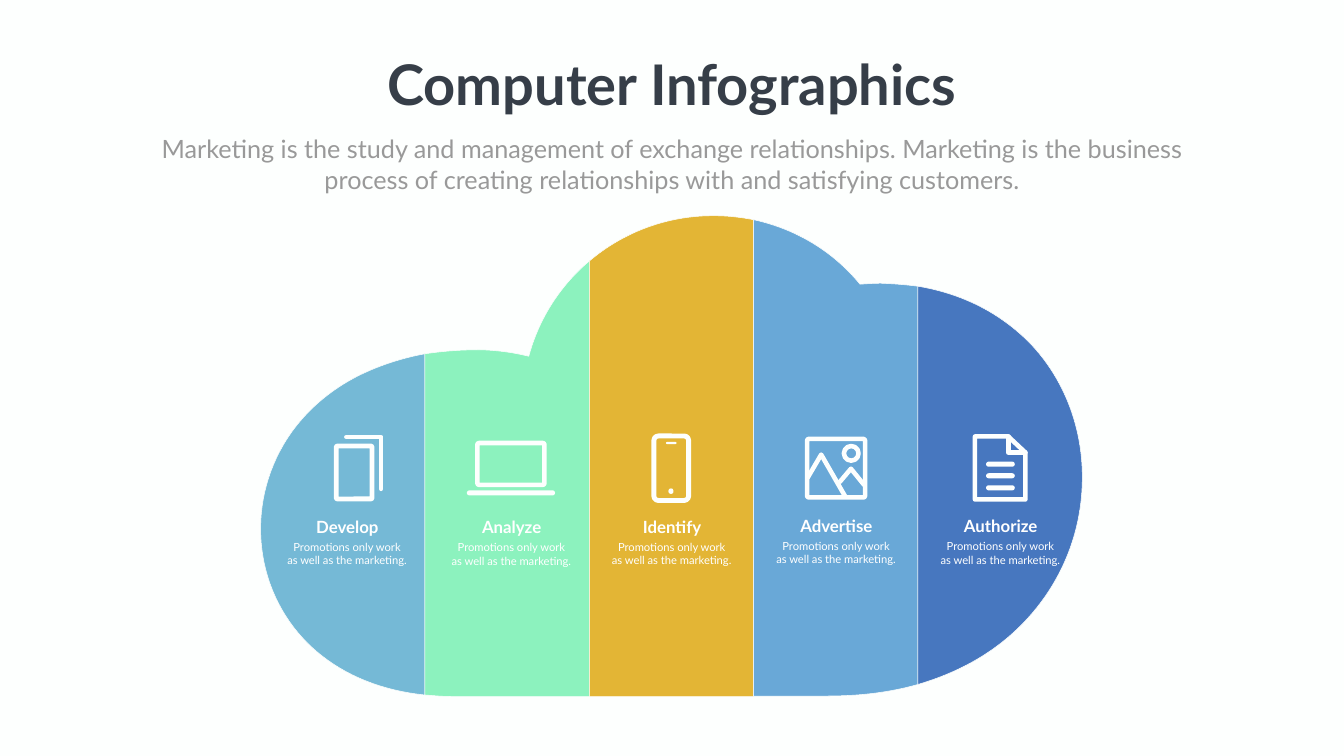
import pptx
import pptx.util
import pptx.dml.color
import pptx.enum.shapes
import pptx.enum.text
import pptx.oxml
import pptx.oxml.ns
import dataclasses

RGB = pptx.dml.color.RGBColor
KIND = pptx.enum.shapes.MSO_SHAPE
SCALE = 9144  # EMU in one px, 100 px to the inch
STEPS = 24    # straight pieces in one curve

PAPER = RGB(0xFD, 0xFF, 0xFE)
WHITE = RGB(0xFF, 0xFF, 0xFF)
DARK = RGB(0x36, 0x3E, 0x48)
GREY = RGB(0x99, 0x99, 0x99)
SKY = RGB(0x75, 0xB9, 0xD6)
MINT = RGB(0x8C, 0xF2, 0xBE)
GOLD = RGB(0xE3, 0xB5, 0x35)
BLUE = RGB(0x69, 0xA8, 0xD7)
NAVY = RGB(0x47, 0x77, 0xBF)


@dataclasses.dataclass
class Band:
    """One slice of the cloud: a pair is a corner, six numbers are a curve."""
    color: RGB
    edge: list
    name: str
    left: int
    top: int


@dataclasses.dataclass
class Box:
    """A rounded icon part, drawn as a ring when it has a pen width."""
    left: int
    top: int
    width: int
    height: int
    round: float = 0.5
    pen: float = 0


@dataclasses.dataclass
class Trace:
    """A stroked icon part."""
    points: list
    close: bool = False
    pen: float = 6.5


BANDS = [
    Band(SKY, [(710, 746), (647, 778, 595, 826, 562, 883),
               (503, 984, 502, 1109, 559, 1209), (614, 1306, 716, 1366, 843, 1379),
               (843, 702), (795, 711, 750, 726, 710, 746)], "Develop", 598, 1020),
    Band(MINT, [(1049, 707), (1017, 699, 985, 695, 952, 694),
                (913, 694, 877, 697, 843, 702), (843, 1379),
                (859, 1380, 876, 1382, 894, 1382), (1169, 1382), (1169, 518),
                (1112, 566, 1069, 632, 1049, 707)], "Analyze", 924, 1021),
    Band(GOLD, [(1415, 428), (1321, 428, 1235, 462, 1169, 518), (1169, 1382),
                (1495, 1382), (1495, 436), (1469, 431, 1442, 428, 1415, 428)],
         "Identify", 1242, 1020),
    Band(BLUE, [(1706, 564), (1652, 498, 1578, 454, 1495, 436), (1495, 1381),
                (1640, 1381), (1705, 1381, 1765, 1374, 1821, 1358), (1821, 568),
                (1798, 565, 1773, 563, 1748, 562), (1734, 562, 1721, 563, 1706, 564)],
         "Advertise", 1568, 1018),
    Band(NAVY, [(2019, 1247), (2100, 1169, 2146, 1064, 2147, 951),
                (2148, 850, 2112, 755, 2047, 685), (1988, 623, 1911, 583, 1821, 568),
                (1821, 1358), (1899, 1335, 1965, 1299, 2019, 1247)],
         "Authorize", 1894, 1019),
]

ICONS = [
    # Pages
    Box(667, 885, 71, 105, 0.04, 7), Trace([(687, 867), (756, 867), (756, 970)]),
    # Laptop
    Box(947, 879, 133, 83, 0.04, 6.5), Box(926, 973, 175, 10),
    # Phone
    Box(1297, 865, 69, 128, 0.13, 7), Box(1326, 969, 10, 11), Box(1321, 877, 21, 4),
    # Photo
    Box(1601, 871, 115, 116, 0.03, 6.5), Box(1674, 885, 29, 29, 0.5, 6.5),
    Trace([(1602, 948), (1629, 902), (1676, 984)]),
    Trace([(1666, 956), (1688, 930), (1714, 962)]),
    # Document
    Trace([(1934, 866), (2000, 866), (2034, 898), (2034, 991), (1934, 991)], True),
    Trace([(2000, 866), (2000, 898), (2034, 898)]),
    *[Box(1956, top, 57, 10) for top in (916, 939, 963)],
]


def place(shape, left: int, top: int, width: int, height: int) -> None:
    shape.left, shape.top = left * SCALE, top * SCALE
    shape.width, shape.height = width * SCALE, height * SCALE


def write(shape, text: str, *, size: int, color: RGB, bold: bool = False,
          wrap: bool = True) -> None:
    frame = shape.text_frame
    frame.text = text
    frame.word_wrap = wrap
    frame.auto_size = pptx.enum.text.MSO_AUTO_SIZE.NONE
    frame.vertical_anchor = pptx.enum.text.MSO_ANCHOR.TOP
    for para in frame.paragraphs:
        props = para._p.get_or_add_pPr()
        props.set("marL", "0")
        props.set("indent", "0")
        pptx.oxml.ns.qn("a:buNone")
        props.append(pptx.oxml.parse_xml(
            f'<a:buNone {pptx.oxml.ns.nsdecls("a")}/>'))
        para.alignment = pptx.enum.text.PP_ALIGN.CENTER
        para.space_before = pptx.util.Pt(0)
        for run in para.runs:
            run.font.name = "Lato"
            run.font.size = pptx.util.Pt(size)
            run.font.bold = bold
            run.font.color.rgb = color


def paint(shape, fill: RGB | None, pen: float) -> None:
    shape.shadow.inherit = False
    if fill is None:
        shape.fill.background()
    else:
        shape.fill.solid()
        shape.fill.fore_color.rgb = fill
    if pen:
        shape.line.width = pptx.util.Pt(pen)
        shape.line.color.rgb = PAPER
    else:
        shape.line.fill.background()


def trace(shapes, points: list, close: bool):
    spots = [(x * SCALE, y * SCALE) for x, y in points]
    pen = shapes.build_freeform(*spots[0], scale=1.0)
    pen.add_line_segments(spots[1:], close=close)
    return pen.convert_to_shape()


def bend(edge: list) -> list:
    """Turn corners and cubic curves into a run of points."""
    points = []
    for part in edge:
        if len(part) == 2:
            points.append(part)
            continue
        knots = [points[-1], part[:2], part[2:4], part[4:]]
        for step in range(1, STEPS + 1):
            t = step / STEPS
            rates = ((1 - t) ** 3, 3 * t * (1 - t) ** 2, 3 * t * t * (1 - t), t ** 3)
            points.append(tuple(sum(r * k[axis] for r, k in zip(rates, knots))
                                for axis in (0, 1)))
    return points


def draw(shapes, part: Box | Trace) -> None:
    if isinstance(part, Trace):
        shape = trace(shapes, part.points, part.close)
        paint(shape, None, part.pen)
        shape.line._get_or_add_ln().set("cap", "rnd")
        return
    shape = shapes.add_shape(KIND.ROUNDED_RECTANGLE, 0, 0, 0, 0)
    place(shape, part.left, part.top, part.width, part.height)
    shape.adjustments[0] = part.round
    paint(shape, None if part.pen else PAPER, part.pen)


def label(shapes, left: int, top: int, width: int, height: int, text: str,
          **style) -> None:
    box = shapes.add_textbox(0, 0, 0, 0)
    place(box, left, top, width, height)
    write(box, text, color=WHITE, **style)


def main() -> None:
    deck = pptx.Presentation()
    deck.slide_width, deck.slide_height = 2666 * SCALE, 1500 * SCALE
    slide = deck.slides.add_slide(deck.slide_layouts[1])
    slide.background.fill.solid()
    slide.background.fill.fore_color.rgb = PAPER
    shapes = slide.shapes

    # Heading
    title, body = slide.placeholders
    place(title, 745, 94, 1176, 145)
    write(title, "Computer Infographics", size=80, color=DARK, bold=True, wrap=False)
    place(body, 268, 260, 2130, 131)
    write(body, "Marketing is the study and management of exchange relationships. "
          "Marketing is the business process of creating relationships with and "
          "satisfying customers.", size=36, color=GREY)

    # Cloud, icons and labels
    for band in BANDS:
        paint(trace(shapes, bend(band.edge), True), band.color, 0.75)
    for part in ICONS:
        draw(shapes, part)
    for band in BANDS:
        label(shapes, band.left, band.top, 182, 50, band.name, size=24, bold=True)
        label(shapes, band.left - 50, band.top + 47, 281, 64,
              "Promotions only work\nas well as the marketing.", size=16)

    deck.save("out.pptx")


if __name__ == "__main__":
    main()
